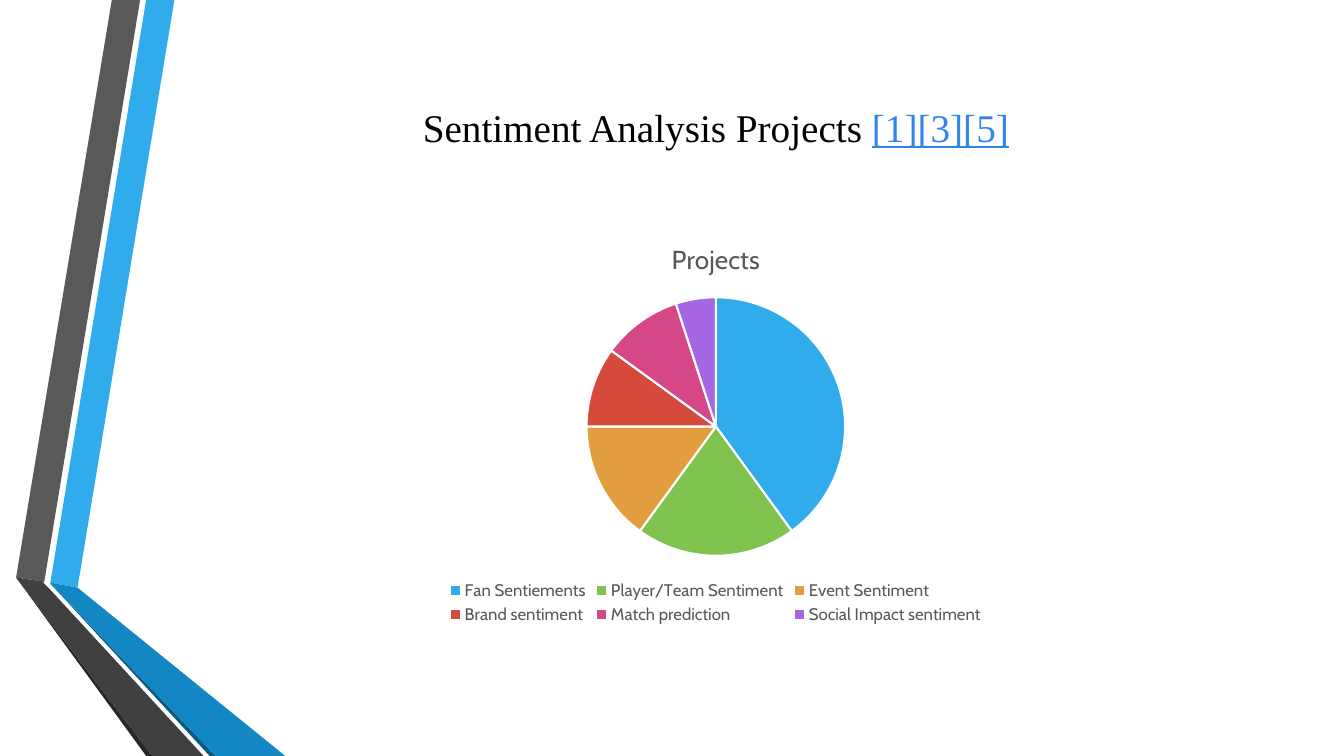
from pptx import Presentation
from pptx.chart.data import CategoryChartData
from pptx.dml.color import RGBColor
from pptx.enum.chart import XL_CHART_TYPE, XL_LEGEND_POSITION
from pptx.enum.text import MSO_ANCHOR, PP_ALIGN
from pptx.util import Pt

PX = 9144  # 100 px to the inch

BANDS = [
    ("30ACEC", [(50, 578), (77, 583), (173, 0), (145, 0)]),
    ("595959", [(139, 0), (111, 0), (16, 573), (44, 577)]),
    ("262626", [(16, 573), (145, 750), (151, 750)]),
    ("0C5A82", [(50, 579), (208, 750), (214, 750)]),
    ("1287C3", [(50, 578), (50, 579), (214, 750), (283, 750), (77, 583)]),
    ("404040", [(202, 750), (48, 583), (43, 578), (44, 577), (16, 573), (151, 750)]),
]

PROJECTS = [
    ("Fan Sentiements", 40, "30ACEC"),
    ("Player/Team Sentiment", 20, "80C34F"),
    ("Event Sentiment", 15, "E29D3E"),
    ("Brand sentiment", 10, "D64A3B"),
    ("Match prediction", 10, "D64787"),
    ("Social Impact sentiment", 5, "A666E1"),
]


def color(code):
    return RGBColor.from_string(code)


def emu(box):
    return [n * PX for n in box]


def style(font, name, size, code):
    font.name = name
    font.size = Pt(size)
    font.bold = False
    font.color.rgb = color(code)


def add_bands(slide, box):
    """Draw the folded ribbons down the left edge."""
    left, top = emu(box[:2])
    for code, points in BANDS:
        path = slide.shapes.build_freeform(*points[0], scale=PX)
        path.add_line_segments(points[1:], close=True)
        band = path.convert_to_shape(left, top)
        band.shadow.inherit = False
        band.fill.solid()
        band.fill.fore_color.rgb = color(code)
        band.line.fill.background()


def add_title(slide, box):
    frame = slide.shapes.add_textbox(*emu(box)).text_frame
    frame.word_wrap = True
    frame.vertical_anchor = MSO_ANCHOR.MIDDLE
    para = frame.paragraphs[0]
    para.alignment = PP_ALIGN.CENTER
    parts = [("Sentiment Analysis Projects ", "000000"), ("[1][3][5]", "3085ED")]
    for text, code in parts:
        run = para.add_run()
        run.text = text
        style(run.font, "Times New Roman", 28, code)
    run.font.underline = True


def add_pie(slide, box):
    names, values, codes = zip(*PROJECTS)
    data = CategoryChartData()
    data.categories = names
    data.add_series("Projects", values)
    chart = slide.shapes.add_chart(XL_CHART_TYPE.PIE, *emu(box), data).chart
    style(chart.font, "Cabin", 10, "000000")

    chart.has_title = True
    title = chart.chart_title
    title.include_in_layout = False
    title.text_frame.text = "Projects"
    style(title.text_frame.paragraphs[0].runs[0].font, "Cabin", 18.6, "595959")

    chart.has_legend = True
    legend = chart.legend
    legend.position = XL_LEGEND_POSITION.BOTTOM
    legend.include_in_layout = False
    style(legend.font, "Cabin", 12, "595959")

    plot = chart.plots[0]
    plot.vary_by_categories = True
    for i, code in enumerate(codes):
        slice_form = plot.series[0].points[i].format
        slice_form.fill.solid()
        slice_form.fill.fore_color.rgb = color(code)
        slice_form.line.color.rgb = color("FFFFFF")
        slice_form.line.width = Pt(1.5)


def main():
    deck = Presentation()
    deck.slide_width, deck.slide_height = emu((1333, 750))
    slide = deck.slides.add_slide(deck.slide_layouts[6])
    add_bands(slide, (0, 0, 283, 750))
    add_title(slide, (162, 30, 1096, 192))
    add_pie(slide, (144, 221, 1132, 403))
    deck.save("out.pptx")


if __name__ == "__main__":
    main()
